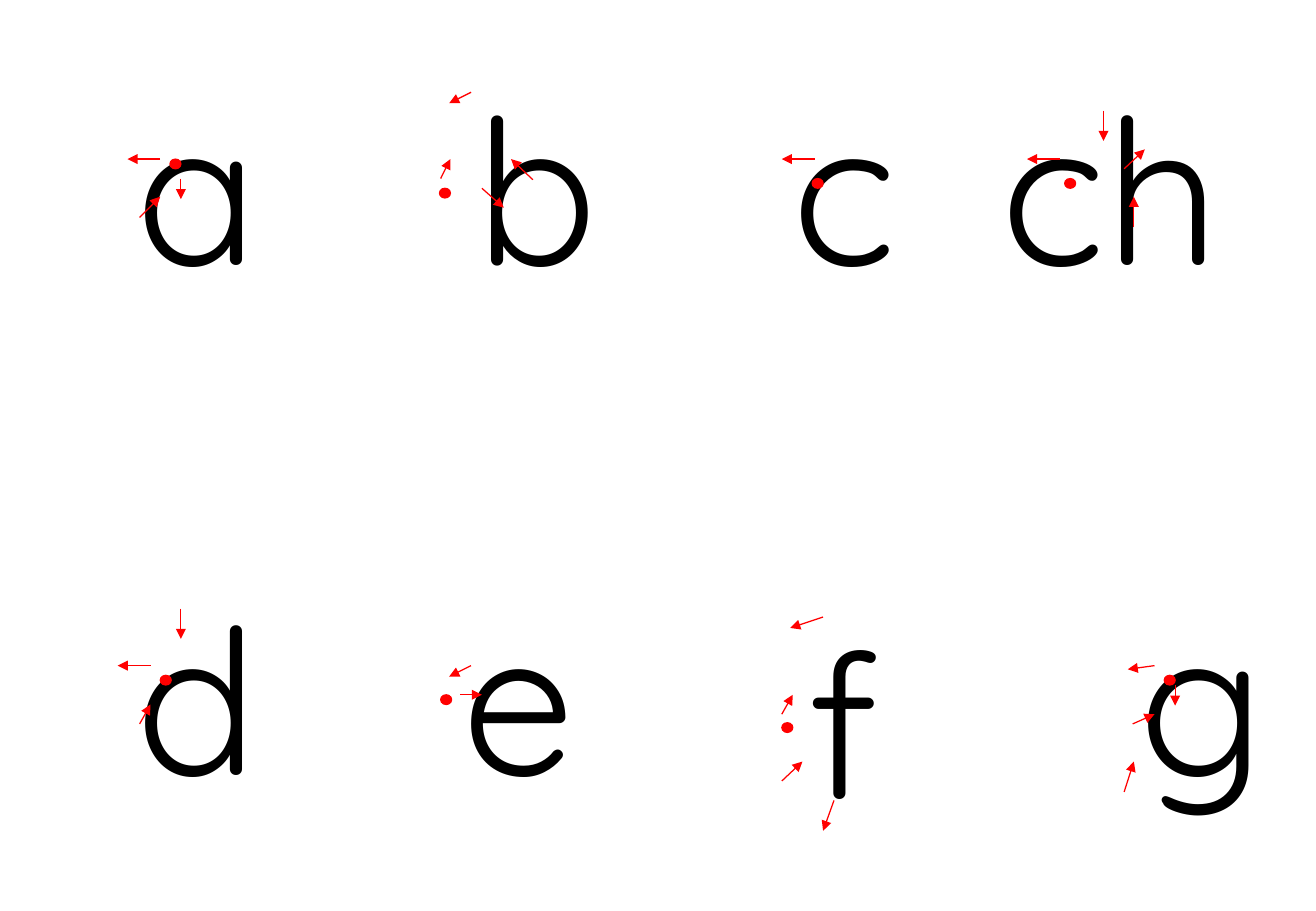
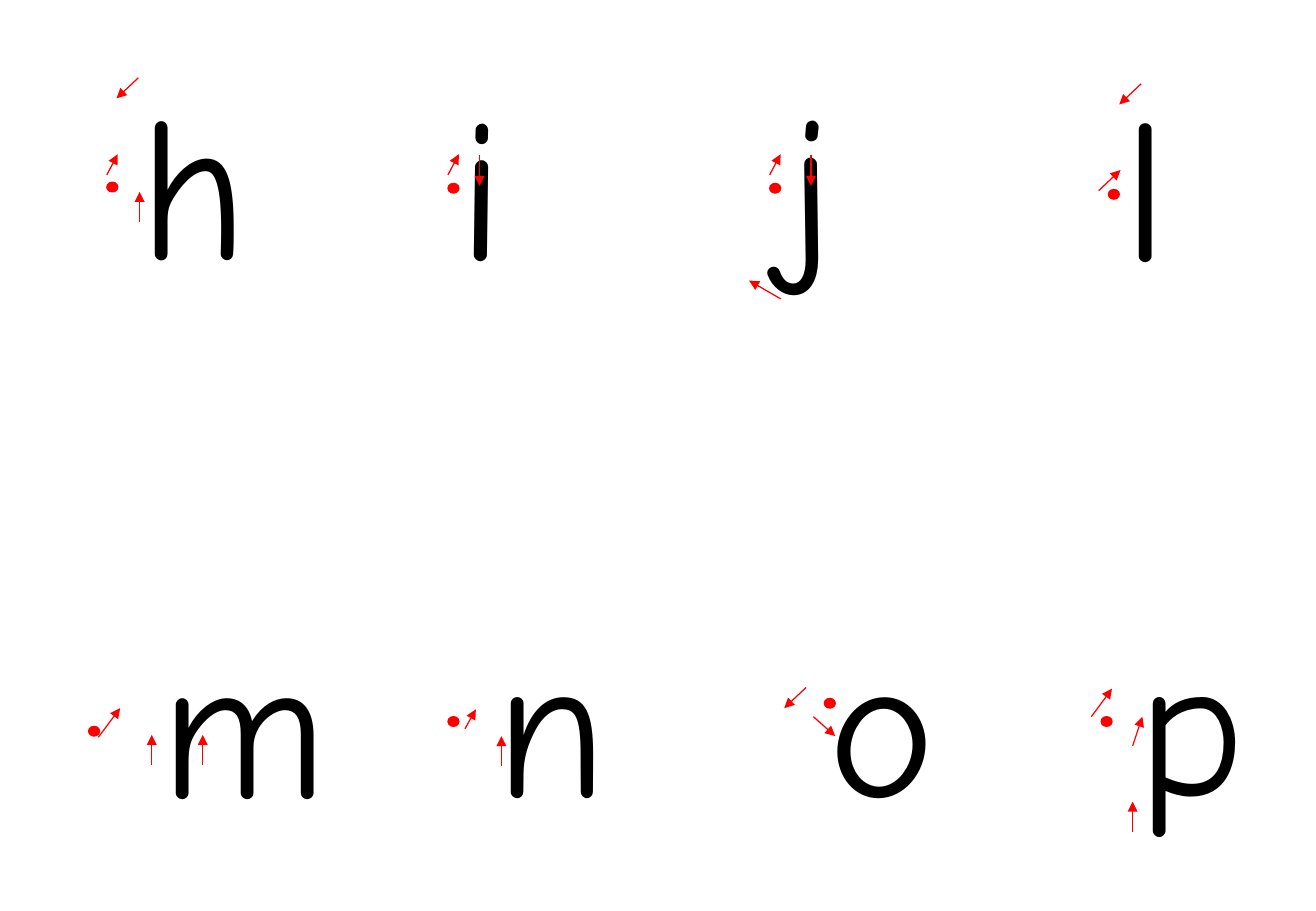
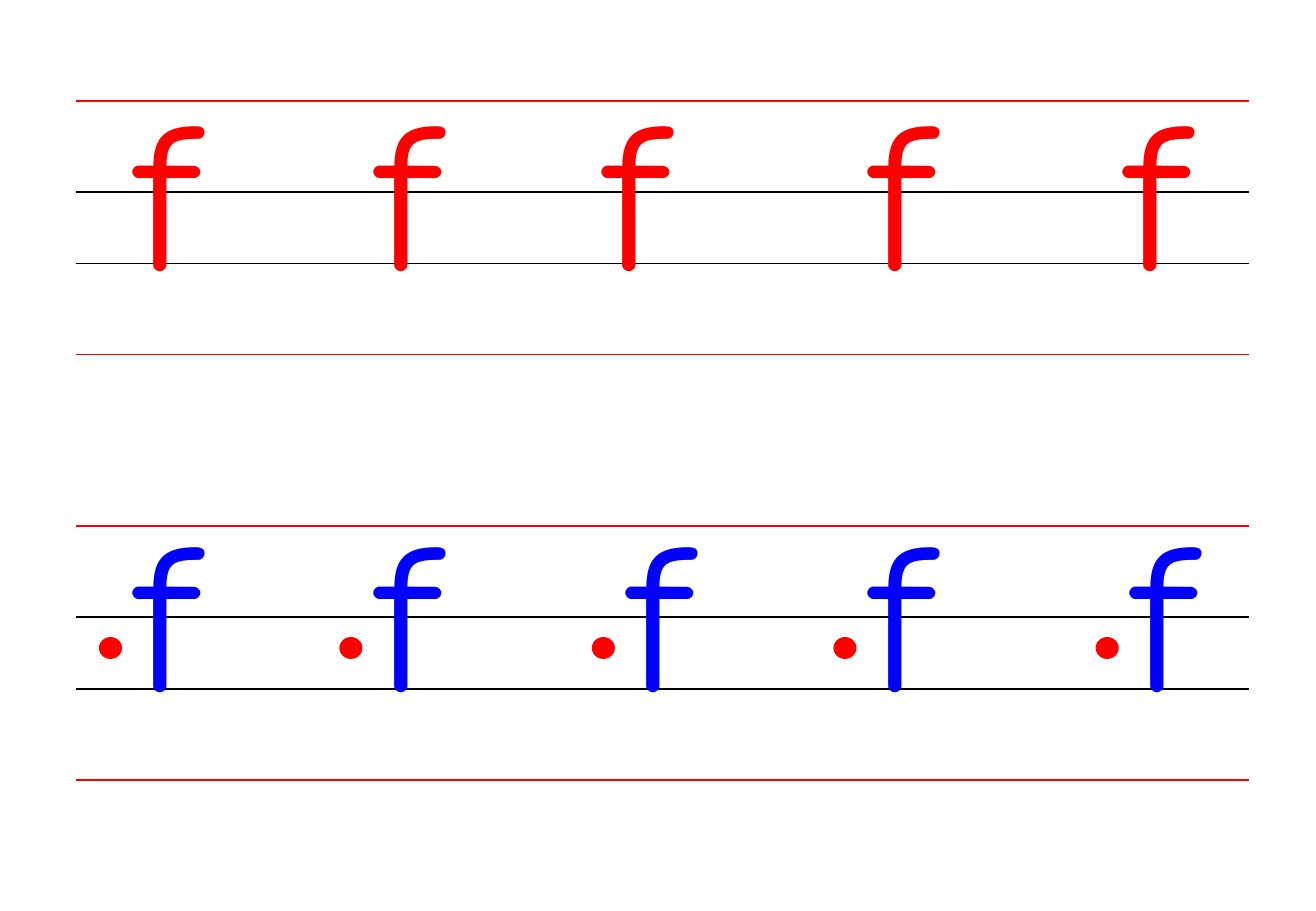
from lxml import etree
from pptx import Presentation
from pptx.dml.color import RGBColor
from pptx.enum.shapes import MSO_CONNECTOR, MSO_SHAPE
from pptx.enum.text import MSO_AUTO_SIZE, PP_ALIGN
from pptx.oxml.ns import qn
from pptx.util import Inches, Pt

STRAIGHT = MSO_CONNECTOR.STRAIGHT
ELLIPSE = MSO_SHAPE.OVAL
FLOW_DOT = MSO_SHAPE.FLOWCHART_CONNECTOR
CENTER, LEFT = PP_ALIGN.CENTER, PP_ALIGN.LEFT
FIT_SHAPE = MSO_AUTO_SIZE.SHAPE_TO_FIT_TEXT
COLORS = {"red": "FF0000", "black": "000000", "blue": "0000FF"}


def add_text(s, text, x, y, w, h, font="Comic Neue", size=120,
             color="black", align=CENTER, wrap=True):
    tb = s.shapes.add_textbox(Inches(x), Inches(y), Inches(w), Inches(h))
    tf = tb.text_frame
    tf.word_wrap = wrap
    tf.auto_size = FIT_SHAPE
    p = tf.paragraphs[0]
    p.alignment = align
    r = p.add_run()
    r.text = text
    r.font.name = font
    r.font.size = Pt(size)
    r.font.color.rgb = RGBColor.from_string(COLORS[color])


def add_line(s, x1, y1, x2, y2, color="red", width=0.75, arrow=False):
    ln = s.shapes.add_connector(STRAIGHT, Inches(x1), Inches(y1),
                                Inches(x2), Inches(y2))
    ln.line.color.rgb = RGBColor.from_string(COLORS[color])
    ln.line.width = Pt(width)
    if arrow:
        etree.SubElement(ln.line._get_or_add_ln(), qn("a:tailEnd"),
                         type="triangle")
    etree.SubElement(ln._element.spPr, qn("a:effectLst"))


# Letters: (text, left, top, width), start dot (left, top), stroke arrows
quicksand_letters = [
    (("a", 1.03, 0.47, 0.55), (1.4, 1.31),
     [(1.49, 1.47, 1.49, 1.64), (1.15, 1.79, 1.32, 1.62),
      (1.32, 1.31, 1.05, 1.31)]),
    (("b", 3.82, 0.47, 0.5), (3.62, 1.55),
     [(3.97, 1.55, 4.15, 1.71), (4.39, 1.48, 4.21, 1.31),
      (3.88, 0.76, 3.7, 0.85), (3.63, 1.47, 3.71, 1.31)]),
    (("c", 6.43, 0.47, 0.44), (6.69, 1.47),
     [(6.71, 1.31, 6.44, 1.31)]),
    (("ch", 7.8, 0.47, 2.71), (8.77, 1.47),
     [(8.73, 1.31, 8.46, 1.31), (9.34, 1.87, 9.34, 1.62),
      (9.09, 0.91, 9.09, 1.16), (9.26, 1.39, 9.43, 1.23)]),
    (("d", 1.03, 4.67, 0.46), (1.32, 5.56),
     [(1.49, 5.01, 1.49, 5.26), (1.15, 5.96, 1.24, 5.8),
      (1.24, 5.48, 0.97, 5.48)]),
    (("e", 3.71, 4.67, 0.46), (3.63, 5.72),
     [(3.79, 5.72, 3.97, 5.72), (3.88, 5.48, 3.7, 5.57)]),
    (("f", 6.55, 4.87, 0.35), (6.44, 5.95),
     [(6.44, 5.88, 6.53, 5.72), (6.78, 5.08, 6.51, 5.17),
      (6.87, 6.59, 6.78, 6.84), (6.44, 6.43, 6.61, 6.27)]),
    (("g", 9.29, 4.67, 0.46), (9.59, 5.56),
     [(9.68, 5.64, 9.68, 5.81), (9.51, 5.48, 9.29, 5.51),
      (9.33, 5.96, 9.51, 5.88), (9.26, 6.52, 9.34, 6.27)]),
]
comic_letters = [
    (("h", 1.05, 0.42, 0.55), (0.88, 1.5),
     [(0.88, 1.44, 0.97, 1.27), (1.14, 0.64, 0.96, 0.81),
      (1.15, 1.83, 1.15, 1.58)]),
    (("i", 3.68, 0.43, 0.5), (3.69, 1.51),
     [(3.69, 1.44, 3.78, 1.27), (3.95, 1.28, 3.95, 1.53)]),
    (("j", 6.38, 0.41, 0.44), (6.34, 1.51),
     [(6.34, 1.44, 6.43, 1.27), (6.68, 1.28, 6.68, 1.53),
      (6.43, 2.46, 6.17, 2.31)]),
    (("l", 8.08, 0.44, 2.71), (9.13, 1.56),
     [(9.05, 1.57, 9.23, 1.4), (9.4, 0.69, 9.22, 0.86)]),
    (("m", 1.22, 4.86, 0.46), (0.73, 5.98),
     [(0.81, 6.07, 0.99, 5.83), (1.25, 6.3, 1.25, 6.05),
      (1.67, 6.3, 1.67, 6.05)]),
    (("n", 3.98, 4.85, 0.46), (3.69, 5.9),
     [(3.83, 6, 3.92, 5.84), (4.13, 6.31, 4.13, 6.06)]),
    (("o", 6.73, 4.85, 0.35), (6.79, 5.75),
     [(6.64, 5.66, 6.46, 5.83), (6.7, 5.9, 6.88, 6.06)]),
    (("p", 9.27, 4.85, 0.46), (9.07, 5.9),
     [(8.99, 5.9, 9.16, 5.67), (9.33, 6.85, 9.33, 6.6),
      (9.33, 6.14, 9.41, 5.9)]),
]

prs = Presentation()
prs.slide_width, prs.slide_height = Inches(10.84), Inches(7.5)
blank = prs.slide_layouts[6]
dots = []

# Slides 1 and 2: letters with stroke arrows
for letters, font, dot_shape in ((quicksand_letters, "Quicksand", FLOW_DOT),
                                 (comic_letters, "Comic Neue", ELLIPSE)):
    s = prs.slides.add_slide(blank)
    for (text, x, y, w), (dot_x, dot_y), arrows in letters:
        add_text(s, text, x, y, w, 2.1, font=font)
        for arrow in arrows:
            add_line(s, *arrow, arrow=True)
        dots.append((s, dot_shape, dot_x, dot_y, 0.09, 0.08))

# Slide 3: two ruled writing rows
s = prs.slides.add_slide(blank)
rulings = ((0, "red"), (0.75, "black"), (1.34, "black"), (2.09, "red"))
rows = (
    (0.83, 0.44, "red", (1.02, 3, 4.88, 7.07, 9.17)),
    (4.33, 3.91, "blue", (1.02, 3, 5.08, 7.07, 9.23)),
)
for rule_top, text_top, color, lefts in rows:
    for dy, rule_color in rulings:
        y = rule_top + dy
        add_line(s, 0.63, y, 10.29, y, color=rule_color, width=1)
    for x in lefts:
        add_text(s, "f", x, text_top, 0.68, 2.19, size=125, color=color,
                 align=LEFT, wrap=False)
        if color == "blue":
            dots.append((s, ELLIPSE, x - 0.2, 5.25, 0.18, 0.17))

# Start dots on every slide
for s, shape, x, y, w, h in dots:
    sp = s.shapes.add_shape(shape, Inches(x), Inches(y), Inches(w), Inches(h))
    sp.shadow.inherit = False
    sp.fill.solid()
    sp.fill.fore_color.rgb = RGBColor.from_string(COLORS["red"])
    sp.line.color.rgb = RGBColor.from_string(COLORS["red"])
    sp.line.width = Pt(0.75)

prs.save("out.pptx")
